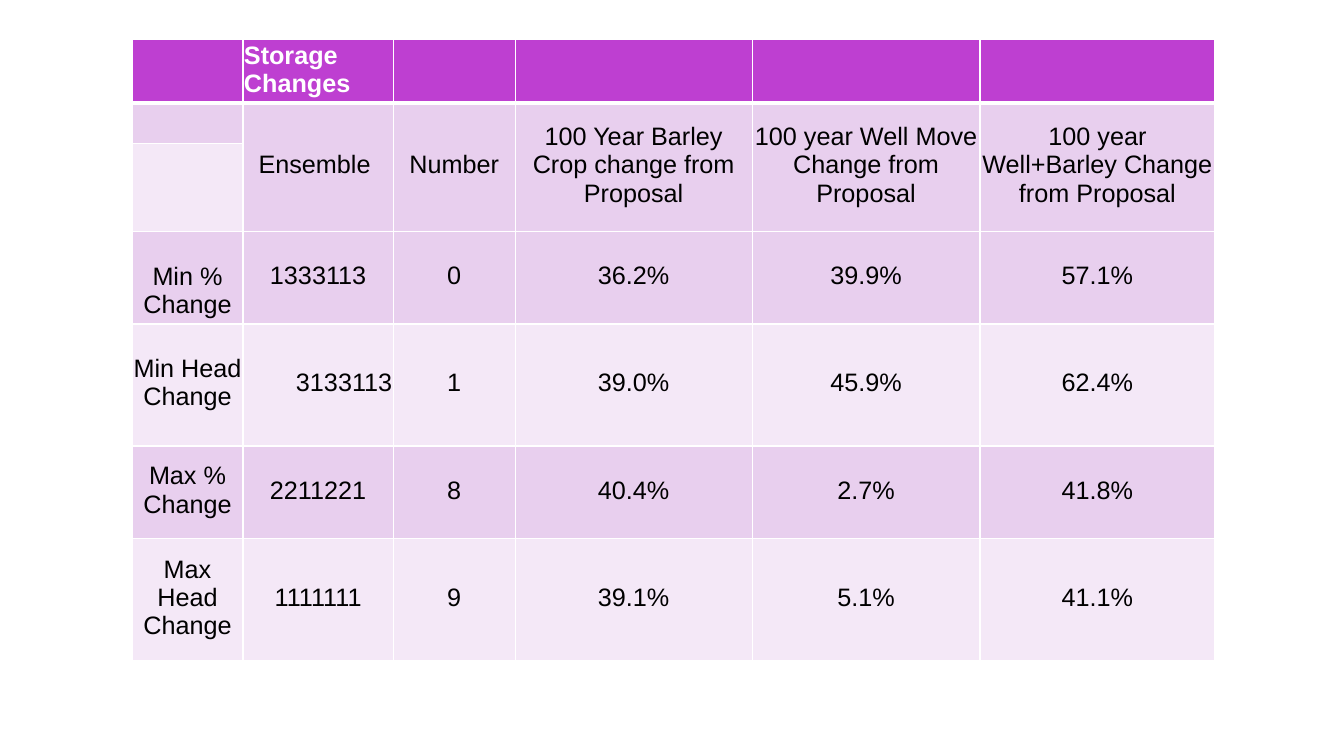
from lxml.etree import SubElement
from pptx import Presentation
from pptx.dml.color import RGBColor
from pptx.enum.text import MSO_ANCHOR as Anchor, PP_ALIGN as Align
from pptx.oxml.ns import qn
from pptx.util import Inches, Pt

HEADER, DARK, LIGHT = "BE3FD1", "E8CFEE", "F4E8F7"
WHITE, BLACK = "FFFFFF", "000000"
COLUMN_WIDTHS = [1.1, 1.49, 1.21, 2.35, 2.26, 2.33]
ROW_HEIGHTS = [0.63, 0.37, 0.87, 0.92, 1.21, 0.92, 1.21]
ROWS = [
    ["", "Storage Changes", "", "", "", ""],
    ["", "Ensemble ", "Number", "100 Year Barley Crop change from Proposal",
     "100 year Well Move Change from Proposal", "100 year Well+Barley Change from Proposal"],
    [""] * 6,
    ["Min % Change", "1333113", "0", "36.2%", "39.9%", "57.1%"],
    ["Min Head Change", "3133113", "1", "39.0%", "45.9%", "62.4%"],
    ["Max % Change", "2211221", "8", "40.4%", "2.7%", "41.8%"],
    ["Max Head Change", "1111111", "9", "39.1%", "5.1%", "41.1%"],
]
ALIGNMENTS = {(0, 1): Align.LEFT, (4, 1): Align.RIGHT}
ANCHORS = {(0, 1): Anchor.BOTTOM, (3, 0): Anchor.BOTTOM}


def color(value):
    return RGBColor.from_string(value)


class TablePage:
    font_style = {"name": "Arial", "size": Pt(18)}
    cell_margins = {"margin_left": Inches(0.01), "margin_right": Inches(0.01),
                    "margin_top": Inches(0.01), "margin_bottom": Inches(0.05)}

    def __init__(self, deck):
        self.page = deck.slides.add_slide(deck.slide_layouts[6])

    def apply(self, target, values):
        for name, value in values.items():
            setattr(target, name, value)

    def borders(self, cell, widths):
        properties = cell._tc.get_or_add_tcPr()
        for side, width in widths.items():
            line = SubElement(properties, qn(f"a:ln{side}"), w=str(Pt(width)))
            fill = SubElement(line, qn("a:solidFill"))
            SubElement(fill, qn("a:srgbClr"), val=WHITE)

    def cell(self, cell, text, fill, ink, bold, align, anchor, widths):
        self.borders(cell, widths)
        cell.fill.solid()
        cell.fill.fore_color.rgb = color(fill)
        if not text:
            return
        self.apply(cell, {**self.cell_margins, "vertical_anchor": anchor})
        para = cell.text_frame.paragraphs[0]
        para.alignment = align
        span = para.add_run()
        span.text = text
        self.apply(span.font, {**self.font_style, "bold": bold})
        span.font.color.rgb = color(ink)

    def table(self, left, top):
        frame = self.page.shapes.add_table(
            len(ROWS), len(COLUMN_WIDTHS), Inches(left), Inches(top),
            Inches(sum(COLUMN_WIDTHS)), Inches(sum(ROW_HEIGHTS)))
        table = frame.table
        for column, width in zip(table.columns, COLUMN_WIDTHS):
            column.width = Inches(width)
        for row, height in zip(table.rows, ROW_HEIGHTS):
            row.height = Inches(height)
        for column in range(1, len(COLUMN_WIDTHS)):
            table.cell(1, column).merge(table.cell(2, column))
        for row, texts in enumerate(ROWS):
            header = row == 0
            fill = HEADER if header else DARK if row % 2 else LIGHT
            widths = {"L": 1, "R": 1, "T": 3 if row == 1 else 1, "B": 3 if header else 1}
            for column, text in enumerate(texts):
                place = (row, column)
                self.cell(table.cell(row, column), text, fill,
                          WHITE if header else BLACK, header,
                          ALIGNMENTS.get(place, Align.CENTER),
                          ANCHORS.get(place, Anchor.MIDDLE), widths)


def main():
    deck = Presentation()
    deck.slide_width, deck.slide_height = Inches(13.33), Inches(7.5)
    TablePage(deck).table(1.31, 0.39)
    deck.save("out.pptx")


if __name__ == "__main__":
    main()
